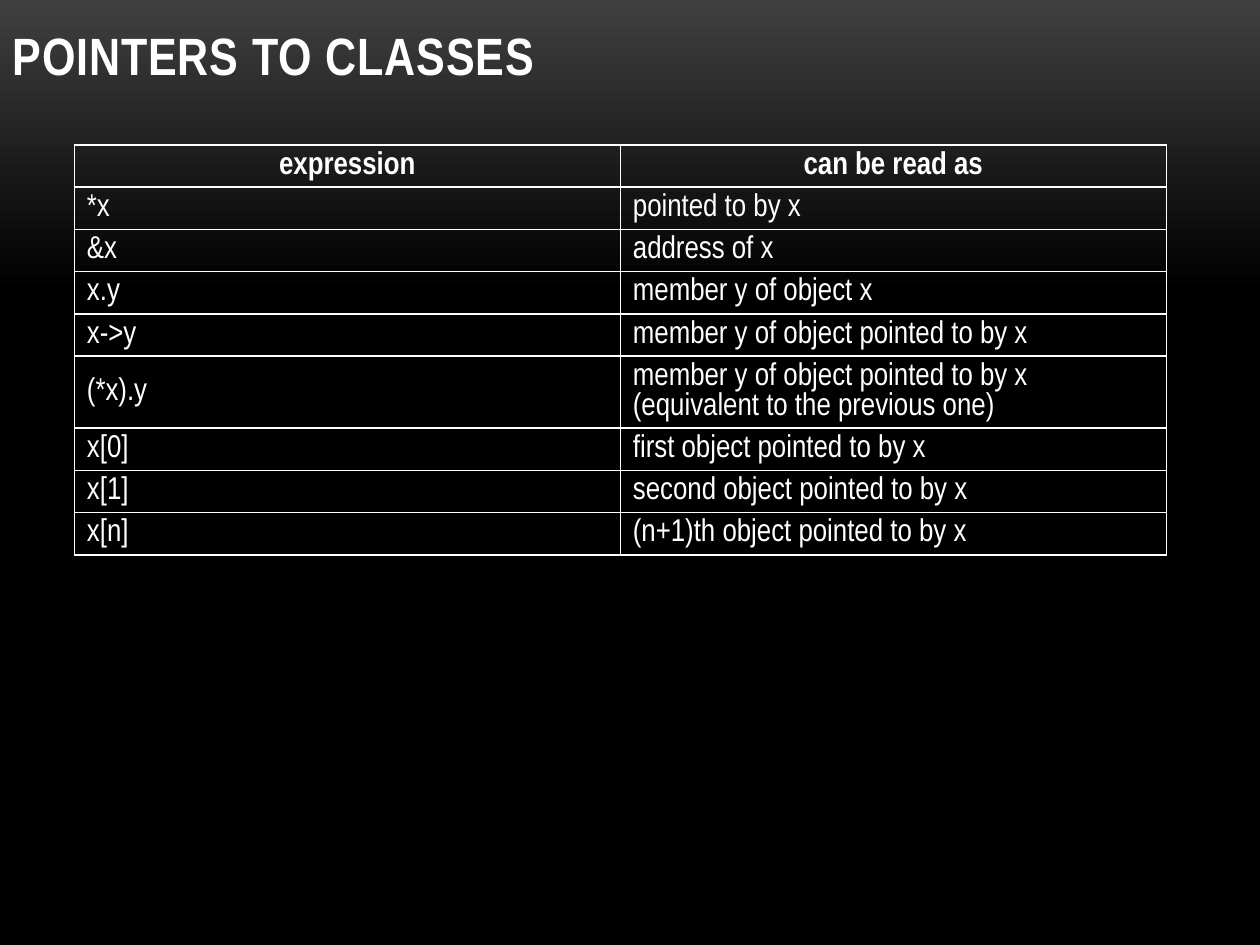
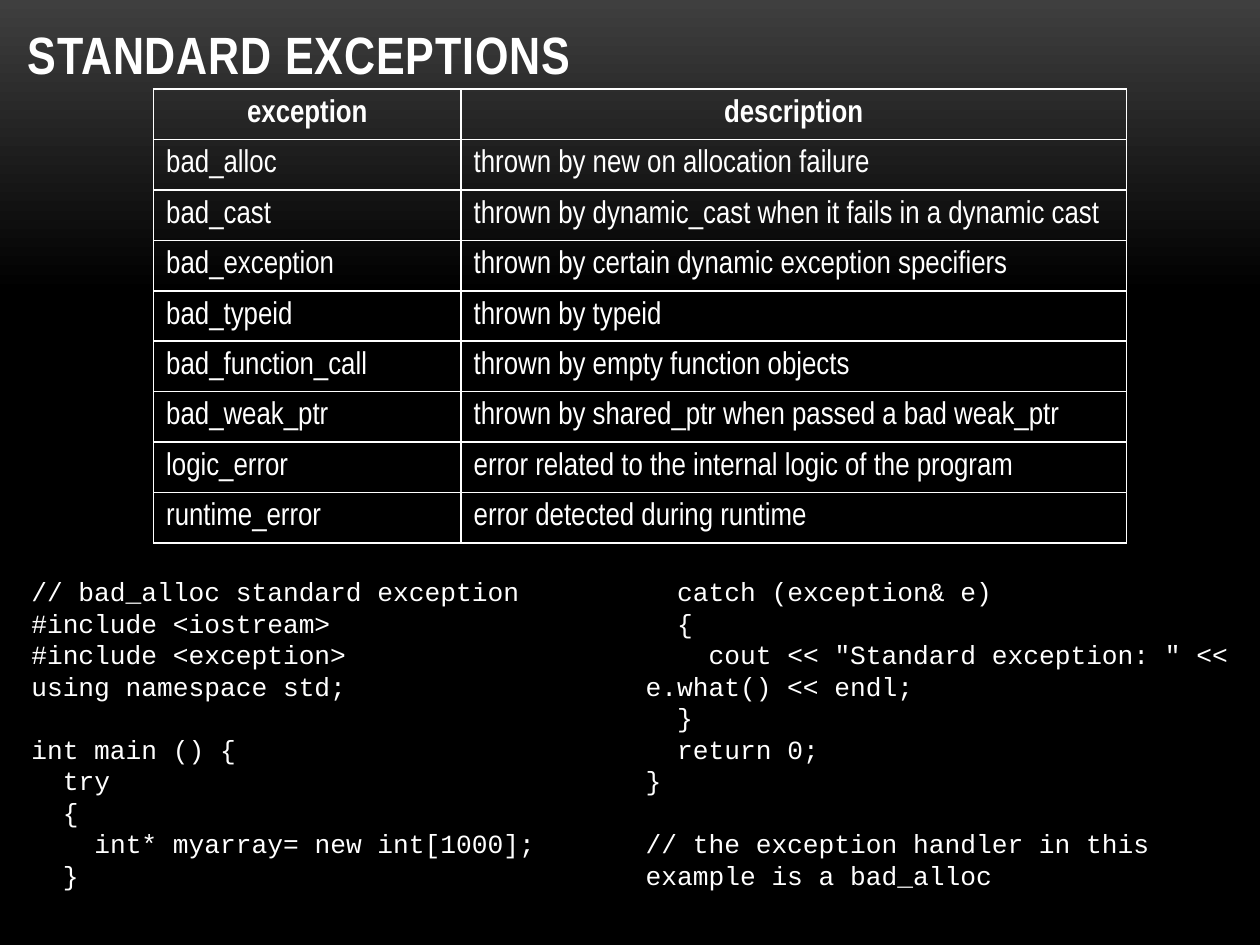
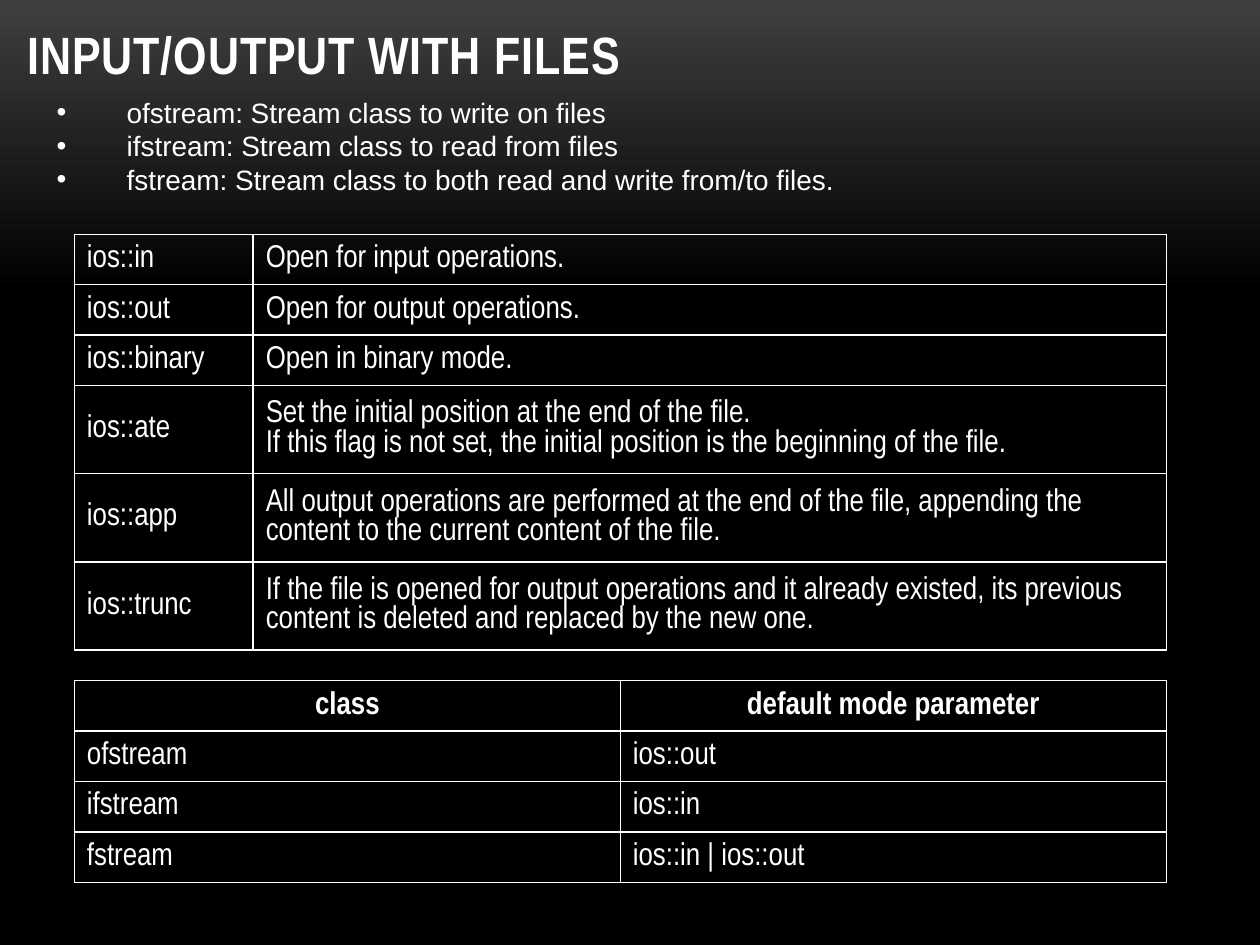
import copy

import pptx
import pptx.dml.color
import pptx.enum.text
import pptx.oxml
import pptx.util
from pptx.oxml.ns import nsdecls

Pt = pptx.util.Pt
ALIGN = pptx.enum.text.PP_ALIGN
ANCHOR = pptx.enum.text.MSO_ANCHOR
FIT = pptx.enum.text.MSO_AUTO_SIZE

WHITE = pptx.dml.color.RGBColor(0xFF, 0xFF, 0xFF)
GREY = pptx.dml.color.RGBColor(0x3F, 0x3F, 0x3F)
BLACK = pptx.dml.color.RGBColor(0, 0, 0)
NARROW = "Arial Narrow"
LEFT = 42.5    # left edge of the wide tables
HALF = 312     # column of an evenly split table
ROW = 28.8


def write(para, text, size=18, font=NARROW, bold=False, align=ALIGN.LEFT,
          pitch=None, before=0, margin=0, indent=0, track=0):
    """Fill a paragraph with text and format it."""
    para.text = text
    para.alignment = align
    para.space_before = Pt(before)
    if pitch:
        para.line_spacing = Pt(pitch)
    props = para._p.get_or_add_pPr()
    props.set("marL", str(Pt(margin)))
    props.set("indent", str(Pt(indent)))
    for run in para.runs:
        run.font.size = Pt(size)
        run.font.name = font
        run.font.bold = bold
        run.font.color.rgb = WHITE
        if track:
            run._r.get_or_add_rPr().set("spc", str(track))


def grid(slide, left, top, widths, heights, rows, head=True):
    """Add an unfilled table with white borders and an optional bold head."""
    frame = slide.shapes.add_table(len(rows), len(widths), Pt(left), Pt(top),
                                   Pt(sum(widths)), Pt(sum(heights)))
    table = frame.table
    table.first_row = table.horz_banding = False
    for col, width in zip(table.columns, widths):
        col.width = Pt(width)
    for r, texts in enumerate(rows):
        table.rows[r].height = Pt(heights[r])
        top_row = head and r == 0
        for c, text in enumerate(texts):
            cell = table.cell(r, c)
            cell.vertical_anchor = ANCHOR.MIDDLE
            write(cell.text_frame.paragraphs[0], text, bold=top_row,
                  align=ALIGN.CENTER if top_row else ALIGN.LEFT)
            props = cell._tc.get_or_add_tcPr()
            for side in "LRTB":
                props.append(pptx.oxml.parse_xml(
                    f'<a:ln{side} {nsdecls("a")} w="{Pt(1)}"><a:solidFill>'
                    f'<a:srgbClr val="{WHITE}"/></a:solidFill></a:ln{side}>'))
            cell.fill.background()


deck = pptx.Presentation()
deck.slide_width, deck.slide_height = Pt(720), Pt(540)

# Shared background: grey fading to black in the top third
fill = deck.slide_master.background.fill
fill.gradient()
fill.gradient_angle = 270
stops = fill.gradient_stops
stops[1]._gs.addnext(copy.deepcopy(stops[1]._gs))
for stop, (place, color) in zip(fill.gradient_stops,
                                [(0, GREY), (0.31, BLACK), (1, BLACK)]):
    stop.position = place
    stop.color.rgb = color

# Slides with their titles: text, layout, box
slides = []
for text, layout, box in [
        ("POINTERS TO CLASSES", 5, (0, 0.7, 530, 43)),
        ("STANDARD EXCEPTIONS", 5, (8.6, 0, 711.4, 49)),
        ("INPUT/OUTPUT WITH FILES", 1, (8.6, 0, 711.4, 49))]:
    slide = deck.slides.add_slide(deck.slide_layouts[layout])
    title = slide.shapes.title
    title.left, title.top, title.width, title.height = map(Pt, box)
    frame = title.text_frame
    frame.auto_size = FIT.NONE
    frame.vertical_anchor = ANCHOR.TOP
    frame.margin_top = Pt(12.6)
    write(frame.paragraphs[0], text, size=30, bold=True, track=50)
    slides.append(slide)
points, errors, files = slides

# Slide 1: reading pointer expressions
grid(points, LEFT, 82.8, [HALF, HALF], [24.1] * 5 + [41.1] + [24.1] * 3, [
    ("expression", "can be read as"),
    ("*x", "pointed to by x"),
    ("&x", "address of x"),
    ("x.y", "member y of object x"),
    ("x->y", "member y of object pointed to by x"),
    ("(*x).y", "member y of object pointed to by x "
               "(equivalent to the previous one)"),
    ("x[0]", "first object pointed to by x"),
    ("x[1]", "second object pointed to by x"),
    ("x[n]", "(n+1)th object pointed to by x"),
])

# Slide 2: exception table and two-column code
grid(errors, 87.8, 51, [175.7, 380.2], [ROW] * 9, [
    ("exception", "description"),
    ("bad_alloc", "thrown by new on allocation failure"),
    ("bad_cast", "thrown by dynamic_cast when it fails in a dynamic cast"),
    ("bad_exception", "thrown by certain dynamic exception specifiers"),
    ("bad_typeid", "thrown by typeid"),
    ("bad_function_call", "thrown by empty function objects"),
    ("bad_weak_ptr", "thrown by shared_ptr when passed a bad weak_ptr"),
    ("logic_error", "error related to the internal logic of the program"),
    ("runtime_error", "error detected during runtime"),
])
box = errors.shapes.add_textbox(Pt(10.8), Pt(327), Pt(709.2), Pt(187.2))
frame = box.text_frame
frame.word_wrap = True
frame.margin_left = Pt(7.2)
frame.margin_top = Pt(2)
frame.margin_right = frame.margin_bottom = 0
frame._txBody.bodyPr.set("numCol", "2")
# Each line: indent level, blank lines before, text
code = [
    (0, 0, "// bad_alloc standard exception"),
    (0, 0, "#include <iostream>"),
    (0, 0, "#include <exception>"),
    (0, 0, "using namespace std;"),
    (0, 1, "int main () {"),
    (1, 0, "try"),
    (1, 0, "{"),
    (2, 0, "int* myarray= new int[1000];"),
    (1, 0, "}"),
    (1, 0, "catch (exception& e)"),
    (1, 0, "{"),
    (2, 0, 'cout << "Standard exception: " << e.what() << endl;'),
    (1, 0, "}"),
    (1, 0, "return 0;"),
    (0, 0, "}"),
    (0, 1, "// the exception handler in this example is a bad_alloc"),
]
for i, (level, gap, text) in enumerate(code):
    para = frame.add_paragraph() if i else frame.paragraphs[0]
    write(para, text, size=15, font="Courier New", pitch=18,
          before=18 * gap, indent=18 * level)

# Slide 3: stream classes, open modes and defaults
body = files.placeholders[1]
body.left, body.top, body.width, body.height = map(Pt, (32.4, 54.5, 460, 62))
frame = body.text_frame
frame.auto_size = FIT.NONE
frame.vertical_anchor = ANCHOR.TOP
frame.margin_left = frame.margin_top = 0
frame.margin_right = frame.margin_bottom = 0
for i, text in enumerate([
        "ofstream: Stream class to write on files",
        "ifstream: Stream class to read from files",
        "fstream: Stream class to both read and write from/to files."]):
    para = frame.add_paragraph() if i else frame.paragraphs[0]
    write(para, text, size=16, font="Arial", pitch=19.2,
          margin=40, indent=-40)

grid(files, LEFT, 133.9, [102.2, 521.8], [ROW] * 3 + [50.4] * 3, [
    ("ios::in", "Open for input operations."),
    ("ios::out", "Open for output operations."),
    ("ios::binary", "Open in binary mode."),
    ("ios::ate", "Set the initial position at the end of the file.\v"
                 "If this flag is not set, the initial position is "
                 "the beginning of the file."),
    ("ios::app", "All output operations are performed at the end of the "
                 "file, appending the content to the current content of "
                 "the file."),
    ("ios::trunc", "If the file is opened for output operations and it "
                   "already existed, its previous content is deleted and "
                   "replaced by the new one."),
], head=False)
grid(files, LEFT, 389, [HALF, HALF], [ROW] * 4, [
    ("class", "default mode parameter"),
    ("ofstream", "ios::out"),
    ("ifstream", "ios::in"),
    ("fstream", "ios::in | ios::out"),
])

deck.save("out.pptx")
